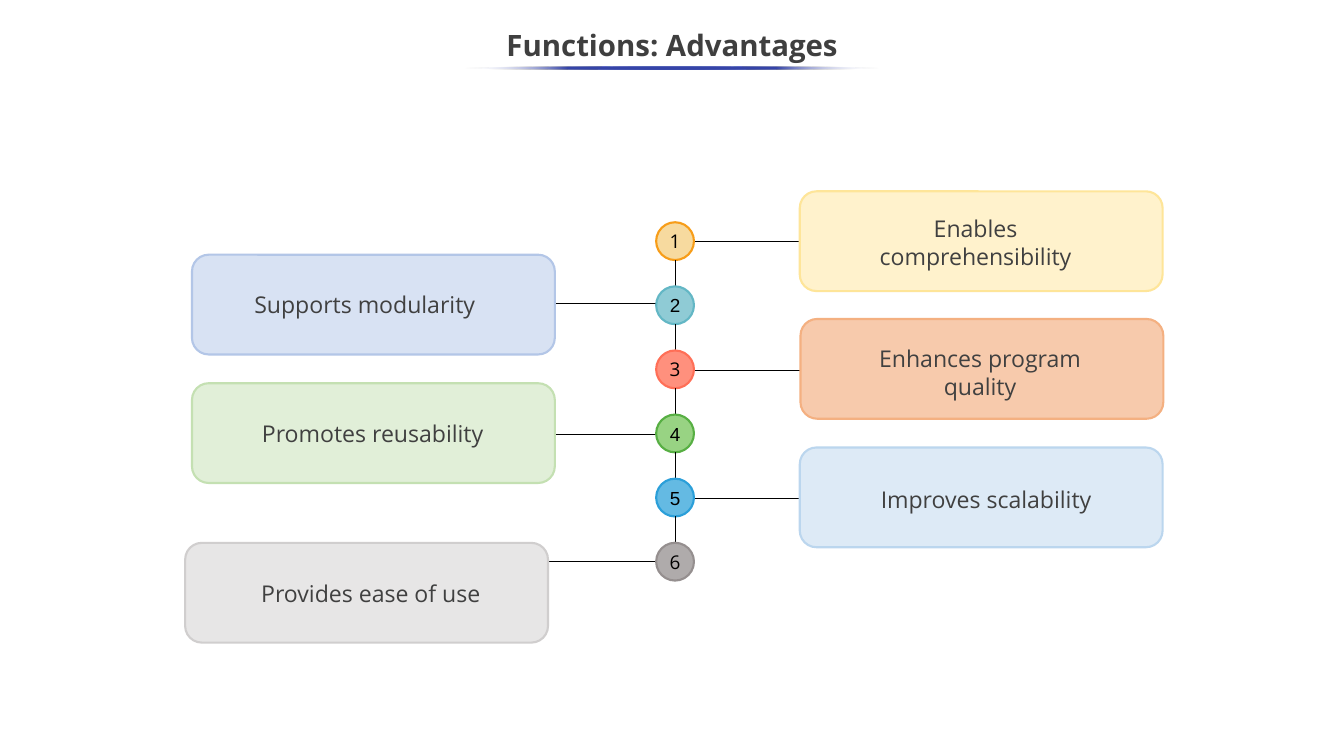
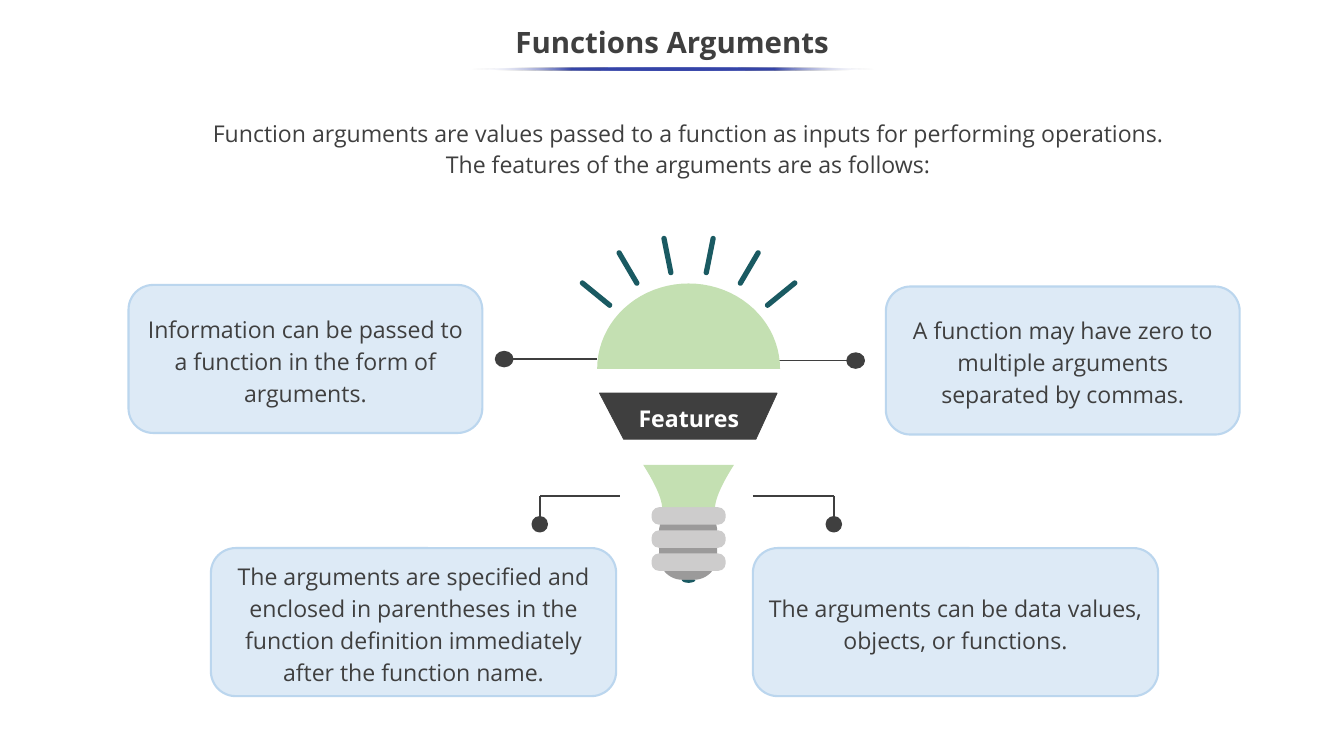
from math import atan2, cos, pi, sin

from pptx import Presentation
from pptx.dml.color import RGBColor
from pptx.enum.shapes import MSO_CONNECTOR, MSO_SHAPE
from pptx.enum.text import MSO_ANCHOR, PP_ALIGN
from pptx.oxml import parse_xml
from pptx.oxml.ns import nsdecls, qn
from pptx.util import Pt

WIDTH, HEIGHT = 1280.16, 720
FONT, NUMBER_FONT = "Open Sans", "Arial"
DARK, GREY, WHITE, BLACK = "3F3F3F", "404040", "FFFFFF", "000000"
ACCENT, TEAL, GREEN = "3645A9", "1A5A62", "C4E0B2"
BASE_GREY, BAND_GREY = "9B9A9A", "CDCCCC"
CARD_FILL, CARD_LINE = "DDEAF6", "BBD6EE"
CORNER = 0.167


def color(hex_text):
    return RGBColor.from_string(hex_text)


def arc(cx, cy, rx, ry, start, end, steps=40):
    """Points along an ellipse between two angles in radians."""
    angles = [start + (end - start) * i / steps for i in range(steps + 1)]
    return [(cx + rx * cos(a), cy + ry * sin(a)) for a in angles]


def bezier(p0, p1, p2, p3, steps=16):
    """Points along a cubic curve."""
    points = []
    for i in range(steps + 1):
        t = i / steps
        weights = ((1 - t) ** 3, 3 * t * (1 - t) ** 2, 3 * t * t * (1 - t), t ** 3)
        points.append(tuple(sum(w * p[axis] for w, p in zip(weights, (p0, p1, p2, p3)))
                            for axis in (0, 1)))
    return points


class Deck:
    """Holds the shared style and the slide being drawn."""

    def __init__(self):
        self.prs = Presentation()
        self.prs.slide_width, self.prs.slide_height = Pt(WIDTH), Pt(HEIGHT)
        self.s = None

    def new_slide(self, title, title_top, rule_box):
        self.s = self.prs.slides.add_slide(self.prs.slide_layouts[6])
        self.text((0, title_top, WIDTH, 54), title, size=28, hex_text=DARK,
                  bold=True, spacing=0.9, anchor=MSO_ANCHOR.MIDDLE)
        self.title_rule(rule_box)

    def fill_text(self, tf, text, size=22, hex_text=GREY, font=FONT, bold=False,
                  spacing=1.0, align=PP_ALIGN.CENTER, anchor=MSO_ANCHOR.TOP):
        tf.word_wrap = True
        tf.vertical_anchor = anchor
        for i, line in enumerate(text.split("\n")):
            p = tf.add_paragraph() if i else tf.paragraphs[0]
            p.alignment, p.line_spacing = align, spacing
            r = p.add_run()
            r.text = line
            r.font.size, r.font.name, r.font.bold = Pt(size), font, bold
            r.font.color.rgb = color(hex_text)

    def text(self, box, text, **style):
        sp = self.s.shapes.add_textbox(*map(Pt, box))
        self.fill_text(sp.text_frame, text, **style)

    def paint(self, sp, fill, line=None, width=2):
        sp.shadow.inherit = False
        sp.fill.solid()
        sp.fill.fore_color.rgb = color(fill)
        if line:
            sp.line.color.rgb = color(line)
            sp.line.width = Pt(width)
        else:
            sp.line.fill.background()

    def ellipse(self, box, fill, line=None):
        sp = self.s.shapes.add_shape(MSO_SHAPE.OVAL, *map(Pt, box))
        self.paint(sp, fill, line)
        return sp

    def rounded(self, box, fill, line=None, corner=CORNER):
        sp = self.s.shapes.add_shape(MSO_SHAPE.ROUNDED_RECTANGLE, *map(Pt, box))
        sp.adjustments[0] = corner
        self.paint(sp, fill, line)
        return sp

    def title_rule(self, box):
        """Thin ellipse that fades out at both ends."""
        sp = self.ellipse(box, ACCENT)
        stops = "".join(
            f'<a:gs pos="{pos}000"><a:srgbClr val="{c}">{alpha}</a:srgbClr></a:gs>'
            for pos, c, alpha in ((0, WHITE, '<a:alpha val="0"/>'), (25, ACCENT, ""),
                                  (50, ACCENT, ""), (75, ACCENT, ""),
                                  (100, WHITE, '<a:alpha val="0"/>')))
        spPr = sp._element.spPr
        solid = spPr.find(qn("a:solidFill"))
        spPr.replace(solid, parse_xml(
            f'<a:gradFill {nsdecls("a")}><a:gsLst>{stops}</a:gsLst>'
            '<a:lin ang="10800000" scaled="0"/></a:gradFill>'))

    def line(self, start, end, hex_text=BLACK, width=0.75):
        c = self.s.shapes.add_connector(MSO_CONNECTOR.STRAIGHT, *map(Pt, start + end))
        c.line.color.rgb = color(hex_text)
        c.line.width = Pt(width)
        c._element.spPr.append(parse_xml(f'<a:effectLst {nsdecls("a")}/>'))

    def outline(self, points, fill, line=None):
        points = [(Pt(x), Pt(y)) for x, y in points]
        fb = self.s.shapes.build_freeform(*points[0], scale=1.0)
        fb.add_line_segments(points[1:], close=True)
        self.paint(fb.convert_to_shape(), fill, line, 0.75)

    def ray(self, inner, outer, radius=2.5):
        """Short bar with round ends."""
        a = atan2(outer[1] - inner[1], outer[0] - inner[0])
        self.outline(arc(*outer, radius, radius, a - pi / 2, a + pi / 2, 8)
                     + arc(*inner, radius, radius, a + pi / 2, a + 3 * pi / 2, 8), TEAL)

    def callout(self, points, dot_w, dot_h):
        """Straight lines through the points, ending in a dot."""
        for start, end in zip(points, points[1:]):
            self.line(start, end, DARK, 1.5)
        x, y = points[-1]
        self.ellipse((x - dot_w / 2, y - dot_h / 2, dot_w, dot_h), DARK, DARK)


def advantages(deck):
    deck.new_slide("Functions: Advantages", 18, (442.8, 63.4, 394.6, 3))
    dot, dot_left, dot_top, pitch = 36, 625, 211.7, 61.05
    center = dot_left + dot / 2
    # dot fill, dot line, number font, link y, card corner, card fill, card line, label, label box
    items = [
        ("F7DA9F", "F79D19", FONT, 229.7, (761.8, 182.2), "FFF2CC", "FEE599",
         "Enables comprehensibility", (815.5, 200.5, 227.5, 60.5)),
        ("8FCBD5", "63B7C5", NUMBER_FONT, 288.7, (182.9, 242.6), "D8E2F3", "B3C6E7",
         "Supports modularity", (188.6, 273.2, 317.5, 33.8)),
        ("FF907D", "FF6F57", FONT, 352.8, (762.5, 303.8), "F7CAAC", "F4B081",
         "Enhances program quality", (817.2, 324.7, 232.6, 60.5)),
        ("98D383", "57AF43", NUMBER_FONT, 414, (182.9, 365), "E1EFD8", "C4E0B2",
         "Promotes reusability", (183.6, 396, 342.7, 33.8)),
        ("64BAE3", "2B9FD9", NUMBER_FONT, 474.5, (761.8, 426.2), CARD_FILL, CARD_LINE,
         "Improves scalability", (820.8, 458.6, 236.9, 33.8)),
        ("AFABAB", "958F8F", FONT, 535, (176.4, 517), "E7E6E6", "D0CECE",
         "Provides ease of use", (234.7, 547.9, 236.9, 33.8)),
    ]
    for i, (fill, edge, font, link_y, corner, card, card_edge, label, box) in enumerate(items):
        top = dot_top + i * pitch
        link = (522.7, dot_left) if i % 2 else (dot_left + dot, 763.2)
        deck.line((link[0], link_y), (link[1], link_y))
        if i:
            deck.line((center, top - pitch + dot), (center, top))
        sp = deck.ellipse((dot_left, top, dot, dot), fill, edge)
        deck.fill_text(sp.text_frame, str(i + 1), size=18, hex_text=BLACK, font=font,
                       anchor=MSO_ANCHOR.MIDDLE)
        deck.rounded((*corner, 345.6, 95), card, card_edge)
        deck.text(box, label)


def bulb(deck):
    axis = 655.9

    def mirror(points):
        return [(2 * axis - x, y) for x, y in points]

    deck.outline([(571, 374.4), (594, 418.3), (720, 418.3), (740.2, 374.4)], DARK, DARK)
    deck.rounded((627.8, 483.8, 55.4, 68.4), BASE_GREY, corner=0.4)
    for i in range(3):
        deck.rounded((620.6, 483.1 + 22 * i, 70.6, 16.6), BAND_GREY, corner=0.43)
    deck.outline(arc(axis, 552.2, 6.5, 2.9, 0, pi), TEAL)
    deck.outline(arc(axis, 351.3, 87.1, 81.3, pi, 2 * pi), GREEN)
    neck = bezier((612.7, 442.8), (621.4, 456.5), (630, 472.3), (630.7, 483.1))
    deck.outline(neck + mirror(neck)[::-1], GREEN)
    for ray in (((639, 259.6), (632.5, 227.2)),
                ((606.6, 269.6), (589.7, 240.8)),
                ((580.7, 290.7), (554.8, 269.6))):
        deck.ray(*ray)
        deck.ray(*mirror(ray))
    deck.text((601.2, 381.6, 112.3, 33), "Features", hex_text=WHITE, bold=True,
              align=PP_ALIGN.LEFT)


def arguments(deck):
    deck.new_slide("Functions Arguments", 15, (449.3, 64, 383.8, 3))
    deck.text((152.6, 105.8, 1005.8, 68.4),
              "Function arguments are values passed to a function as inputs for "
              "performing operations.\nThe features of the arguments are as follows:",
              hex_text=DARK, spacing=1.15)
    upper, lower, card_h = 337, 386, 141
    features = [
        ((122.4, 271.4, upper), "Information can be passed to a function in the form of arguments.",
         [(568.8, 342), (480.2, 342)], 15.8),
        ((843.8, 272.9, upper), "A function may have zero to multiple arguments separated by commas.",
         [(726.5, 343.4), (815, 343.4)], 15.8),
        ((200.9, 522, lower), "The arguments are specified and enclosed in parentheses in the "
         "function definition immediately after the function name.",
         [(590.4, 472.3), (514.1, 472.3), (514.1, 499.3)], 13.7),
        ((717.1, 522, lower), "The arguments can be data values, objects, or functions.",
         [(717.1, 472.3), (794.2, 472.3), (794.2, 499.3)], 13.7),
    ]
    for box, text, points, dot_w in features:
        deck.callout(points, dot_w, 13.7)
        sp = deck.rounded((*box, card_h), CARD_FILL, CARD_LINE)
        deck.fill_text(sp.text_frame, text, hex_text=DARK, spacing=1.15,
                       anchor=MSO_ANCHOR.MIDDLE)
    bulb(deck)


def main():
    deck = Deck()
    advantages(deck)
    arguments(deck)
    deck.prs.save("out.pptx")


if __name__ == "__main__":
    main()
